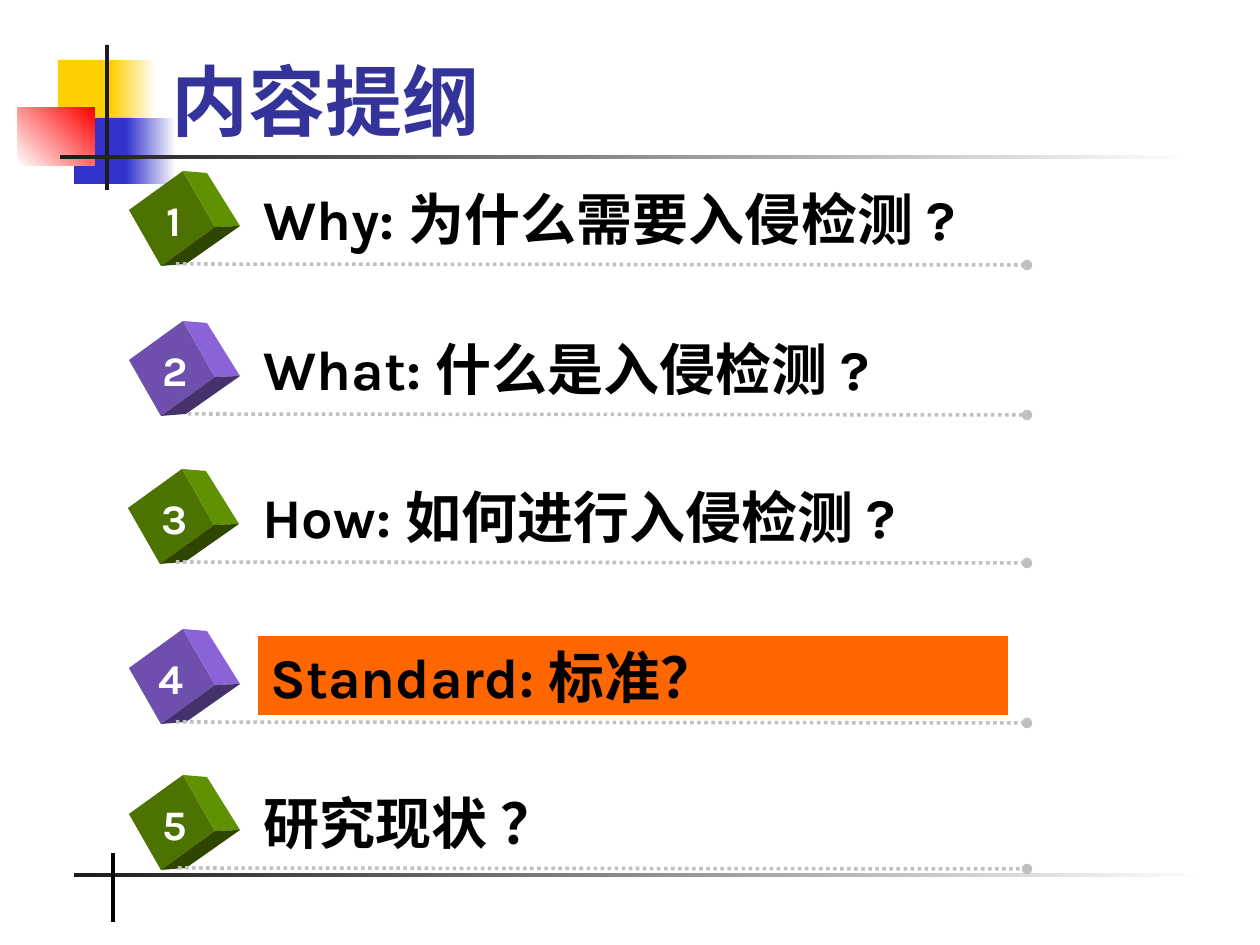
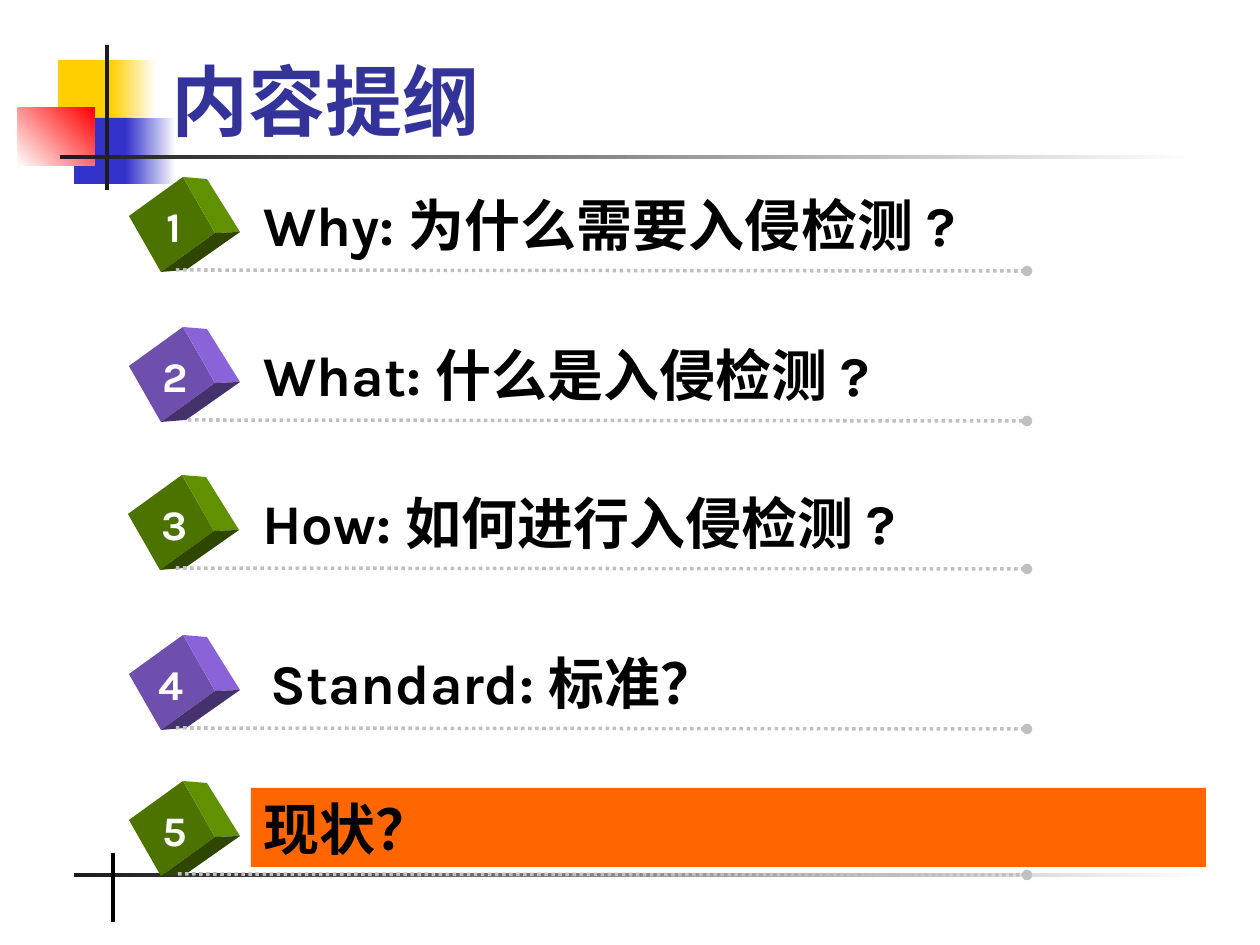
"""Build two outline slides that each highlight the current topic."""
from lxml import etree
from pptx import Presentation
from pptx.dml.color import RGBColor
from pptx.enum.dml import MSO_LINE
from pptx.enum.shapes import MSO_CONNECTOR, MSO_SHAPE
from pptx.enum.text import MSO_ANCHOR, MSO_AUTO_SIZE, PP_ALIGN
from pptx.oxml.ns import qn
from pptx.util import Emu, Pt

RECT = MSO_SHAPE.RECTANGLE
STRAIGHT = MSO_CONNECTOR.STRAIGHT
DOTTED = MSO_LINE.ROUND_DOT
BOTTOM = MSO_ANCHOR.BOTTOM
LEFT, CENTER = PP_ALIGN.LEFT, PP_ALIGN.CENTER
GROW, FIXED = MSO_AUTO_SIZE.SHAPE_TO_FIT_TEXT, MSO_AUTO_SIZE.NONE
PX = 914400 / 126
TITLE_ONLY = 5

COLORS = {
    "white": "FFFFFF", "black": "000000", "ink": "1C1C1C", "title": "333399",
    "yellow": "FFCF01", "blue": "3333CC", "red": "FF0000",
    "dots": "C0C0C0", "active": "FF6600",
    "green front": "4C7300", "green side": "5F9100", "green base": "2E4600",
    "purple front": "6E4FAD", "purple side": "8A63D9", "purple base": "45316C",
}
TITLE_FONT = {"name": "Times New Roman", "size": Pt(44), "bold": True}
TOPIC_FONT = {"name": "Karla", "size": Pt(32), "bold": True}
NUMBER_FONT = {"name": "Karla", "size": Pt(24), "bold": True}

DECOR = [
    ((58, 60, 60, 66), ["yellow"], 0),
    ((111, 60, 45, 66), ["yellow", "white"], 0),
    ((74, 118, 58, 66), ["blue"], 0),
    ((126, 118, 50, 66), ["blue", "white"], 0),
    ((18, 108, 77, 58), ["white", "red"], 45),
    ((105, 45, 4, 145), ["ink"], 0),
    ((60, 155, 1134, 4), ["ink", "white"], 0),
    ((74, 873, 1134, 4), ["ink", "white"], 0),
]
CUBE_FACES = {
    "front": [(0, 39), (54, 0), (86, 56), (32, 95)],
    "side": [(54, 0), (78, 2), (111, 55), (86, 56)],
    "base": [(32, 95), (86, 56), (111, 55), (57, 93)],
}
# top, topic left, topic width, cube left, number left, dots left
ROWS = [
    (178, 251, 757, 129, 150, 176),
    (328, 251, 737, 129, 150, 188),
    (476, 250, 757, 128, 149, 176),
    (636, 258, 750, 129, 146, 176),
    (782, 251, 955, 129, 150, 178),
]
TOPICS = [
    "Why: 为什么需要入侵检测 ?",
    "What: 什么是入侵检测 ?",
    "How: 如何进行入侵检测 ?",
    "Standard: 标准？",
]


def px(*values):
    """Turn pixel lengths into EMU."""
    return [Emu(round(v * PX)) for v in values]


def rgb(name):
    """Look up a named colour."""
    return RGBColor.from_string(COLORS[name])


def paint(sp, color):
    """Give a shape a solid fill with neither line nor shadow."""
    sp.shadow.inherit = False
    sp.line.fill.background()
    sp.fill.solid()
    sp.fill.fore_color.rgb = rgb(color)


def add_block(slide, box, colors, angle):
    """Add a rectangle with a solid or two-colour gradient fill."""
    sp = slide.shapes.add_shape(RECT, *px(*box))
    paint(sp, colors[0])
    if len(colors) > 1:
        sp.fill.gradient()
        sp.fill.gradient_angle = angle
        for stop, color in zip(sp.fill.gradient_stops, colors):
            stop.color.rgb = rgb(color)


def add_line(slide, ends, color, width, dotted=False):
    """Add a straight line, optionally dotted with a round end."""
    cx = slide.shapes.add_connector(STRAIGHT, *px(*ends))
    cx.line.color.rgb = rgb(color)
    cx.line.width = Pt(width)
    if dotted:
        cx.line.dash_style = DOTTED
        ln = cx.element.spPr.find(qn("a:ln"))
        etree.SubElement(ln, qn("a:tailEnd"), type="oval")
    etree.SubElement(cx.element.spPr, qn("a:effectLst"))


def write(sp, text, font, color, align=LEFT):
    """Write one formatted paragraph into a shape."""
    p = sp.text_frame.paragraphs[0]
    p.alignment = align
    r = p.add_run()
    r.text = text
    for key, value in font.items():
        setattr(r.font, key, value)
    r.font.color.rgb = rgb(color)


def add_text(slide, box, text, font, color, align=LEFT, wrap=True):
    """Add a text box that grows with its text."""
    sp = slide.shapes.add_textbox(*px(*box))
    sp.text_frame.word_wrap = wrap
    sp.text_frame.auto_size = GROW
    write(sp, text, font, color, align)
    return sp


def add_cube(slide, left, top, hue):
    """Add a tilted cube made of three shaded faces."""
    for face, corners in CUBE_FACES.items():
        points = [(left + x, top + y) for x, y in corners]
        builder = slide.shapes.build_freeform(*points[0], scale=PX)
        builder.add_line_segments(points[1:])
        paint(builder.convert_to_shape(), f"{hue} {face}")


def add_topic(slide, number, topic, row, shift, active):
    """Add a numbered cube, its topic and the dotted rule below."""
    top, left, width, cube_left, number_left, dots_left = row
    top += shift
    add_cube(slide, cube_left, top - 7, "green" if number % 2 else "purple")
    sp = add_text(slide, (left, top, width, 79), topic, TOPIC_FONT, "black")
    if active:
        paint(sp, "active")
    add_text(slide, (number_left, top + 10, 49, 63), str(number),
             NUMBER_FONT, "white", CENTER, wrap=False)
    add_line(slide, (dots_left, top + 86, 1027, top + 87), "dots", 2, True)


def set_title(slide, text):
    """Place and format the title in front of the decoration."""
    sp = slide.shapes.title
    sp.left, sp.top, sp.width, sp.height = px(159, 20, 1074, 132)
    tf = sp.text_frame
    tf.vertical_anchor = BOTTOM
    tf.auto_size = FIXED
    write(sp, text, TITLE_FONT, "title")
    sp.element.getparent().append(sp.element)


def add_outline(prs, topics, active, shift):
    """Add one outline slide with the active topic highlighted."""
    slide = prs.slides.add_slide(prs.slide_layouts[TITLE_ONLY])
    for block in DECOR:
        add_block(slide, *block)
    add_line(slide, (113, 853, 113, 922), "black", 2.25)
    for number, (topic, row) in enumerate(zip(topics, ROWS), 1):
        add_topic(slide, number, topic, row, shift, number == active)
    set_title(slide, "内容提纲")


def main():
    """Build and save the presentation."""
    prs = Presentation()
    prs.slide_width, prs.slide_height = px(1260, 945)
    add_outline(prs, TOPICS + ["研究现状 ？"], active=4, shift=0)
    add_outline(prs, TOPICS + ["现状？"], active=5, shift=6)
    prs.save("out.pptx")


if __name__ == "__main__":
    main()
